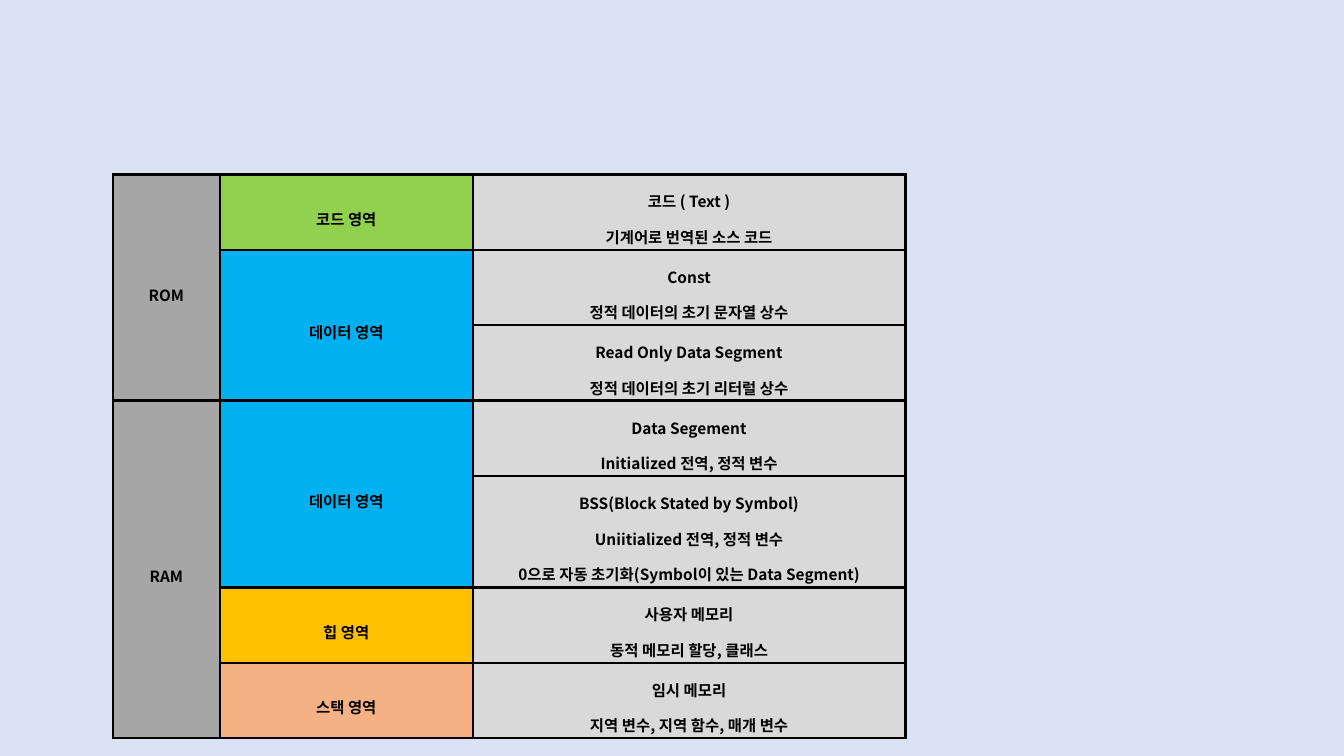
"""Builds a slide with a table of the ROM and RAM memory areas."""
from lxml import etree
from pptx import Presentation
from pptx.dml.color import RGBColor
from pptx.enum import text
from pptx.oxml import ns
from pptx.util import Inches, Pt

COLORS = {
    "background": "DAE3F3", "ink": "000000", "memory": "A6A6A6", "detail": "D9D9D9",
    "code": "92D050", "data": "00B0F0", "heap": "FFC000", "stack": "F4B183",
}
FONT = "Noto Sans CJK KR"
LEFT, TOP = 1.12, 1.73
COL_WIDTHS = [1.06, 2.51, 4.29]
ROW_HEIGHTS = {2: 0.56, 3: 0.85}

MEMORY = [
    ("ROM", [
        ("코드 영역", "code", [["코드 ( Text )", "기계어로 번역된 소스 코드"]]),
        ("데이터 영역", "data", [
            ["Const", "정적 데이터의 초기 문자열 상수"],
            ["Read Only Data Segment", "정적 데이터의 초기 리터럴 상수"],
        ]),
    ]),
    ("RAM", [
        ("데이터 영역", "data", [
            ["Data Segement", "Initialized 전역, 정적 변수"],
            ["BSS(Block Stated by Symbol)", "Uniitialized 전역, 정적 변수",
             "0으로 자동 초기화(Symbol이 있는 Data Segment)"],
        ]),
        ("힙 영역", "heap", [["사용자 메모리", "동적 메모리 할당, 클래스"]]),
        ("스택 영역", "stack", [["임시 메모리", "지역 변수, 지역 함수, 매개 변수"]]),
    ]),
]


def add_borders(cell):
    tc_pr = cell._tc.get_or_add_tcPr()
    for side in ("lnL", "lnR", "lnT", "lnB"):
        ln = etree.SubElement(tc_pr, ns.qn(f"a:{side}"), w=str(Pt(1.98)))
        fill = etree.SubElement(ln, ns.qn("a:solidFill"))
        etree.SubElement(fill, ns.qn("a:srgbClr"), val=COLORS["ink"])


def fill_cells(table, row, col, span, lines, color):
    cells = [table.cell(row + i, col) for i in range(span)]
    if span > 1:
        cells[0].merge(cells[-1])
    for cell in cells:
        add_borders(cell)
        cell.fill.solid()
        cell.fill.fore_color.rgb = RGBColor.from_string(COLORS[color])
        cell.vertical_anchor = text.MSO_ANCHOR.MIDDLE
        cell.margin_left = cell.margin_right = Inches(0.05)
        cell.margin_top = cell.margin_bottom = Inches(0.02)
    tf = cells[0].text_frame
    tf.text = "\n".join(lines)
    for p in tf.paragraphs:
        p.alignment = text.PP_ALIGN.CENTER
        p.line_spacing = 1.6
        for r in p.runs:
            r.font.name, r.font.size, r.font.bold = FONT, Pt(11), True
            r.font.color.rgb = RGBColor.from_string(COLORS["ink"])
            etree.SubElement(r.font._element, ns.qn("a:ea"), typeface=FONT)


def main():
    prs = Presentation()
    prs.slide_width, prs.slide_height = Inches(13.33), Inches(7.5)
    s = prs.slides.add_slide(prs.slide_layouts[6])
    s.background.fill.solid()
    s.background.fill.fore_color.rgb = RGBColor.from_string(COLORS["background"])

    details = [lines for _, areas in MEMORY for _, _, group in areas for lines in group]
    heights = [ROW_HEIGHTS[len(lines)] for lines in details]
    table = s.shapes.add_table(len(heights), len(COL_WIDTHS), Inches(LEFT), Inches(TOP),
                               Inches(sum(COL_WIDTHS)), Inches(sum(heights))).table
    table.first_row = table.horz_banding = False
    for column, width in zip(table.columns, COL_WIDTHS):
        column.width = Inches(width)
    for row, height in zip(table.rows, heights):
        row.height = Inches(height)

    top = 0
    for memory, areas in MEMORY:
        span = sum(len(group) for _, _, group in areas)
        fill_cells(table, top, 0, span, [memory], "memory")
        for area, color, group in areas:
            fill_cells(table, top, 1, len(group), [area], color)
            for lines in group:
                fill_cells(table, top, 2, 1, lines, "detail")
                top += 1
    prs.save("out.pptx")


if __name__ == "__main__":
    main()
